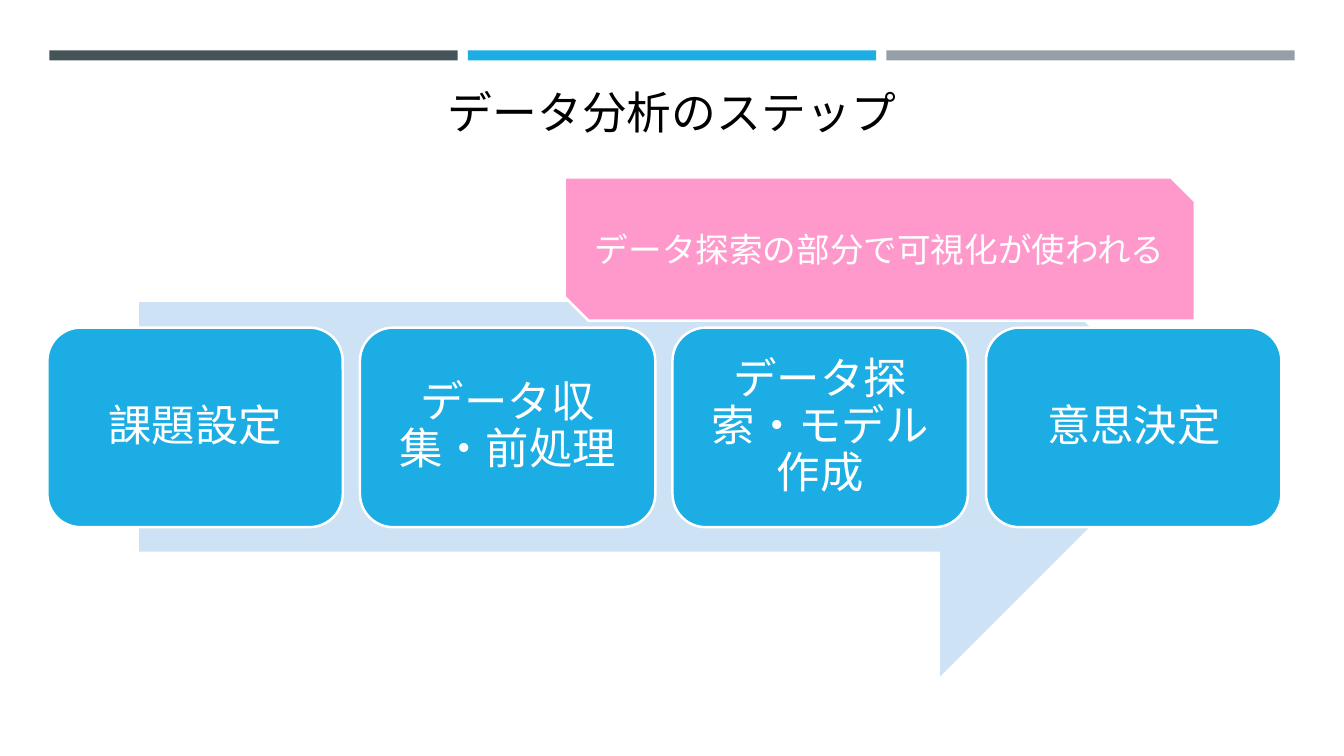
from dataclasses import dataclass

from pptx import Presentation
from pptx import util as u
from pptx.dml.color import RGBColor
from pptx.enum import shapes, text
from pptx.shapes.autoshape import Shape
from pptx.slide import Slide

PX = 9144


@dataclass(frozen=True)
class Theme:
    font: str = "Lato"
    dark: str = "465359"
    blue: str = "1CADE4"
    grey: str = "969FA7"
    arrow: str = "CDE3F5"
    pink: str = "FF99CC"
    white: str = "FFFFFF"
    black: str = "000000"
    title_size: int = 32
    step_size: int = 31
    note_size: int = 24
    outline: float = 1.75


@dataclass(frozen=True)
class Block:
    left: int
    top: int
    width: int
    height: int
    fill: str
    preset: shapes.MSO_SHAPE = shapes.MSO_SHAPE.RECTANGLE
    outlined: bool = False


THEME = Theme()
STEPS = ("課題設定", "データ収集・前処理", "データ探索・モデル作成", "意思決定")
STEP_LEFT, STEP_SPAN = 47, 931
BAR_LEFT, BAR_PITCH = 49, 415


def color(value: str) -> RGBColor:
    return RGBColor.from_string(value)


def draw_block(slide: Slide, block: Block) -> Shape:
    shape = slide.shapes.add_shape(
        block.preset, block.left * PX, block.top * PX, block.width * PX, block.height * PX
    )
    shape.shadow.inherit = False
    shape.fill.solid()
    shape.fill.fore_color.rgb = color(block.fill)
    if block.outlined:
        shape.line.color.rgb = color(THEME.white)
        shape.line.width = u.Pt(THEME.outline)
    else:
        shape.line.fill.background()
    return shape


def write(shape: Shape, wording: str, size: int, ink: str) -> None:
    frame = shape.text_frame
    frame.word_wrap = True
    paragraph = frame.paragraphs[0]
    paragraph.text = wording
    paragraph.alignment = text.PP_ALIGN.CENTER
    paragraph.font.name = THEME.font
    paragraph.font.size = u.Pt(size)
    paragraph.font.color.rgb = color(ink)


def draw_step(slide: Slide, index: int, wording: str) -> None:
    left = STEP_LEFT + index * STEP_SPAN // (len(STEPS) - 1)
    step = draw_block(
        slide,
        Block(left, 325, 293, 198, THEME.blue, shapes.MSO_SHAPE.ROUNDED_RECTANGLE, True),
    )
    write(step, wording, THEME.step_size, THEME.white)
    frame = step.text_frame
    frame.vertical_anchor = text.MSO_ANCHOR.MIDDLE
    frame.margin_left = frame.margin_right = 13 * PX
    frame.margin_top = frame.margin_bottom = 13 * PX
    frame.paragraphs[0].line_spacing = 0.9


def main() -> None:
    """Build the slide on the steps of data analysis."""
    deck = Presentation()
    deck.slide_width, deck.slide_height = 1333 * PX, 750 * PX
    slide = deck.slides.add_slide(deck.slide_layouts[6])

    for index, fill in enumerate((THEME.dark, THEME.blue, THEME.grey)):
        draw_block(slide, Block(BAR_LEFT + index * BAR_PITCH, 50, 405, 10, fill))

    title = slide.shapes.add_textbox(420 * PX, 79 * PX, 493 * PX, 64 * PX)
    write(title, "データ分析のステップ", THEME.title_size, THEME.black)
    title.text_frame.auto_size = text.MSO_AUTO_SIZE.SHAPE_TO_FIT_TEXT

    draw_block(
        slide, Block(138, 176, 1042, 495, THEME.arrow, shapes.MSO_SHAPE.RIGHT_ARROW)
    )
    for index, wording in enumerate(STEPS):
        draw_step(slide, index, wording)

    note = draw_block(
        slide,
        Block(560, 176, 625, 142, THEME.pink, shapes.MSO_SHAPE.SNIP_2_DIAG_RECTANGLE, True),
    )
    write(note, "データ探索の部分で可視化が使われる", THEME.note_size, THEME.white)
    note.text_frame.vertical_anchor = text.MSO_ANCHOR.MIDDLE

    deck.save("out.pptx")


if __name__ == "__main__":
    main()
